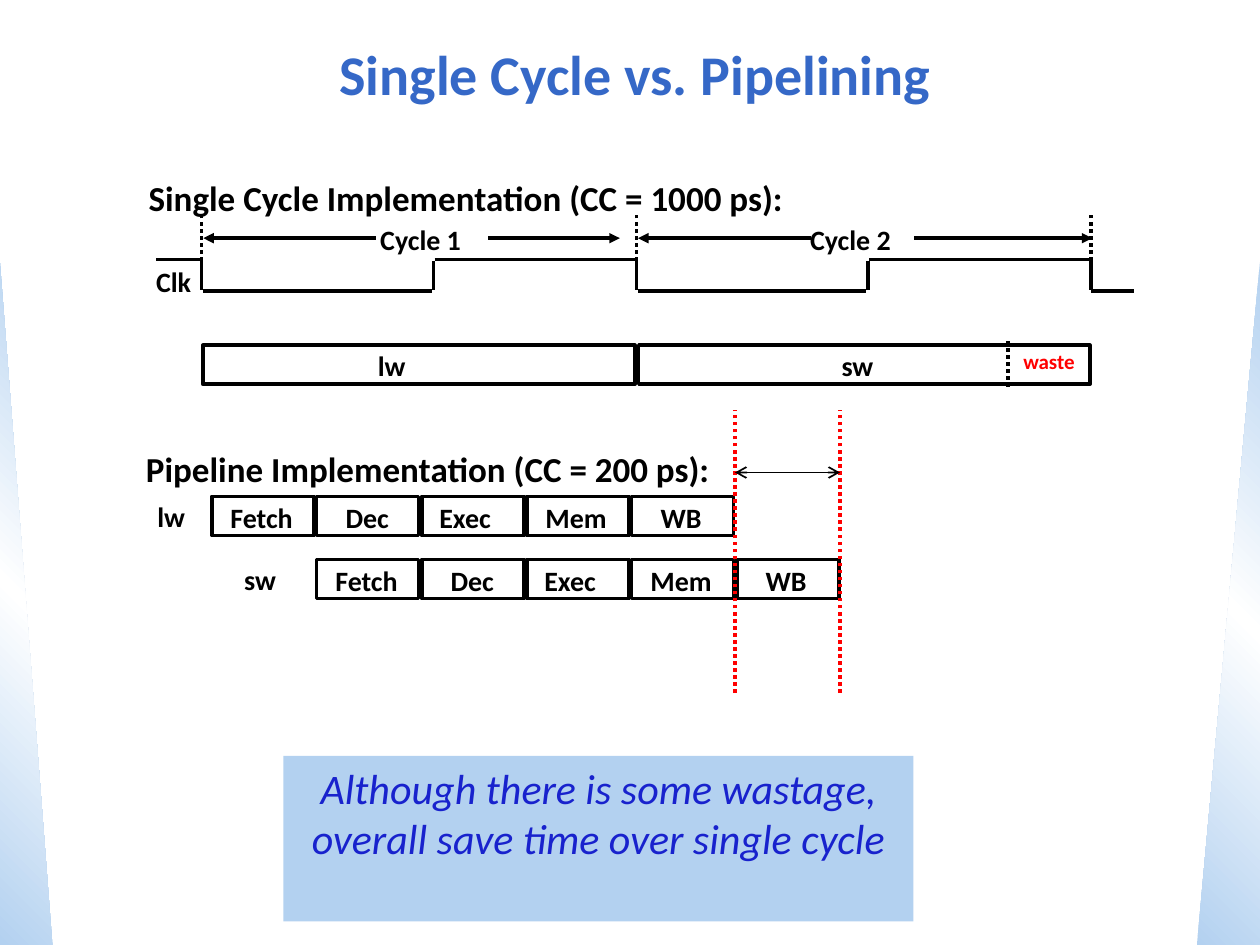
from lxml.etree import SubElement
from pptx import Presentation
from pptx.dml.color import RGBColor
from pptx.enum.dml import MSO_LINE
from pptx.enum.shapes import MSO_CONNECTOR, MSO_SHAPE as Shape
from pptx.enum.text import MSO_ANCHOR as Anchor, MSO_AUTO_SIZE as AutoSize, PP_ALIGN as Align
from pptx.oxml import parse_xml
from pptx.oxml.ns import nsdecls, qn
from pptx.util import Pt

BLACK, RED, PALE_BLUE = "000000", "FF0000", "B3D1F0"
STAGES = [("Fetch", 3.6, 51.8), ("Dec", 9.4, 39.6), ("Exec", 3, 44.6),
          ("Mem", 3.6, 50.4), ("WB", 9.4, 38.2)]
STAGE_STEP, STAGE_LEFT = 60, 121
CLOCK_HIGH, CLOCK_LOW = 148.3, 166.3
CYCLE_EDGES = [115.2, 363.6, 623.5]


def color(value):
    """Turn a hex string into a colour."""
    return RGBColor.from_string(value)


def add_run(frame, text, size, text_color, bold=True, italic=False, align=Align.LEFT):
    """Put one styled run in the first paragraph of a text frame."""
    paragraph = frame.paragraphs[0]
    paragraph.alignment = align
    run = paragraph.add_run()
    run.text = text
    run.font.name = "Calibri"
    run.font.size = Pt(size)
    run.font.bold = bold
    run.font.italic = italic
    run.font.color.rgb = color(text_color)


def add_label(slide, text, left, top, width, height=26.6, size=16,
              text_color=BLACK, align=Align.LEFT, wrap=False):
    """Add a bold text label."""
    box = slide.shapes.add_textbox(Pt(left), Pt(top), Pt(width), Pt(height))
    frame = box.text_frame
    frame.word_wrap = wrap
    frame.auto_size = AutoSize.SHAPE_TO_FIT_TEXT
    add_run(frame, text, size, text_color, align=align)
    return box


def add_bar(slide, left, top, width, height=22.3):
    """Add an unfilled black-edged rectangle."""
    bar = slide.shapes.add_shape(Shape.RECTANGLE, Pt(left), Pt(top), Pt(width), Pt(height))
    bar.shadow.inherit = False
    bar.fill.background()
    bar.line.color.rgb = color(BLACK)
    bar.line.width = Pt(2)


def add_line(slide, start, end, line_color=BLACK, width=2, dotted=False, head=None, tail=None):
    """Add a straight line, dotted or with arrowheads on request."""
    line = slide.shapes.add_connector(
        MSO_CONNECTOR.STRAIGHT, Pt(start[0]), Pt(start[1]), Pt(end[0]), Pt(end[1]))
    line.line.color.rgb = color(line_color)
    line.line.width = Pt(width)
    if dotted:
        line.line.dash_style = MSO_LINE.ROUND_DOT
    properties = line._element.spPr
    for tag, kind in (("a:headEnd", head), ("a:tailEnd", tail)):
        if kind:
            SubElement(properties.find(qn("a:ln")), qn(tag), type=kind)
    SubElement(properties, qn("a:effectLst"))


def add_side_triangle(slide, left, width, angle, flipped=False):
    """Add a gradient triangle along one side of the slide."""
    triangle = slide.shapes.add_shape(
        Shape.RIGHT_TRIANGLE, Pt(left), Pt(150), Pt(width), Pt(390))
    triangle.shadow.inherit = False
    triangle.line.fill.background()
    properties = triangle._element.spPr
    if flipped:
        properties.find(qn("a:xfrm")).set("flipH", "1")
    stops = "".join(
        f'<a:gs pos="{position}"><a:srgbClr val="{value}"/></a:gs>'
        for position, value in ((0, PALE_BLUE), (50000, "FFFFFF"), (100000, PALE_BLUE)))
    gradient = parse_xml(
        f'<a:gradFill {nsdecls("a")} rotWithShape="1"><a:gsLst>{stops}</a:gsLst>'
        f'<a:lin ang="{angle * 60000}" scaled="1"/></a:gradFill>')
    properties.find(qn("a:prstGeom")).addnext(gradient)


def add_pipeline_row(slide, first_step, top):
    """Add the five stages of one instruction."""
    for step, (name, offset, width) in enumerate(STAGES, first_step):
        left = STAGE_LEFT + step * STAGE_STEP
        add_bar(slide, left, top, 58.3)
        add_label(slide, name, left + offset, top - 1.4, width)


def add_clock(slide):
    """Add the clock wave with its cycle markers."""
    add_line(slide, (89.3, CLOCK_HIGH), (114.5, CLOCK_HIGH))
    for edge in CYCLE_EDGES:
        add_line(slide, (edge, 149), (edge, 165.6))
        add_line(slide, (edge, 149), (edge, 123.1), dotted=True)
    for start, end in zip(CYCLE_EDGES, CYCLE_EDGES[1:]):
        middle = start + 132.5
        add_line(slide, (start + 1, CLOCK_LOW), (middle - 1, CLOCK_LOW))
        add_line(slide, (middle, 149), (middle, 165.6))
        add_line(slide, (middle + 0.7, CLOCK_HIGH), (end - 0.9, CLOCK_HIGH))
        add_line(slide, (start + 1, 136.1), (start + 99.7, 136.1), head="triangle")
    add_line(slide, (623.5, CLOCK_LOW), (648, CLOCK_LOW))
    add_line(slide, (354.2, 136.1), (278.6, 136.1), head="triangle")
    add_line(slide, (624.2, 136.1), (522, 136.1), head="triangle")
    add_label(slide, "Clk", 82.1, 147.6, 34.6)
    add_label(slide, "Cycle 1", 210.2, 123.8, 61.2)
    add_label(slide, "Cycle 2", 455.8, 123.8, 61.2)


def add_single_cycle(slide):
    """Add the single cycle timeline."""
    add_label(slide, "Single Cycle Implementation (CC = 1000 ps):", 77.8, 97.2, 380.9, 31, 20)
    add_clock(slide)
    add_bar(slide, 115.9, 197.3, 247)
    add_bar(slide, 365, 197.3, 257.8)
    add_label(slide, "lw", 208.8, 195.8, 31.7)
    add_label(slide, "sw", 473.8, 195.8, 33.8)
    add_line(slide, (576, 221), (576, 195.1), dotted=True)
    add_label(slide, "waste", 574.6, 195.8, 49.7, 21.6, 12, RED, Align.CENTER, True)


def add_pipeline(slide):
    """Add the pipelined timeline and the saved-cycle marker."""
    add_label(slide, "Pipeline Implementation (CC = 200 ps):", 76.3, 252, 339.1, 31, 20)
    add_label(slide, "lw", 82.8, 282.2, 31.7)
    add_pipeline_row(slide, 0, 283.7)
    add_label(slide, "sw", 132.5, 318.2, 33.8)
    add_pipeline_row(slide, 1, 319.7)
    for x in (420, 480):
        add_line(slide, (x, 396), (x, 234), RED, dotted=True)
    add_line(slide, (420, 270), (480, 270), width=1, head="arrow", tail="arrow")


def add_conclusion(slide):
    """Add the closing remark on a pale panel."""
    panel = slide.shapes.add_shape(Shape.RECTANGLE, Pt(162), Pt(432), Pt(360), Pt(94.5))
    panel.shadow.inherit = False
    panel.fill.solid()
    panel.fill.fore_color.rgb = color(PALE_BLUE)
    panel.line.fill.background()
    panel.text_frame.word_wrap = True
    panel.text_frame.vertical_anchor = Anchor.TOP
    add_run(panel.text_frame, "Although there is some wastage, overall save time over single cycle",
            24, "1822CD", bold=False, italic=True, align=Align.CENTER)


def main():
    """Build and save the slide."""
    presentation = Presentation()
    presentation.slide_width, presentation.slide_height = Pt(720), Pt(540)
    slide = presentation.slides.add_slide(presentation.slide_layouts[6])
    add_side_triangle(slide, 0, 30, 315)
    add_side_triangle(slide, 684, 36, 45, flipped=True)
    title = add_label(slide, "Single Cycle vs. Pipelining", 24, 12, 678, 60, 32,
                      "3568C7", Align.CENTER, True)
    title.text_frame.auto_size = AutoSize.NONE
    title.text_frame.vertical_anchor = Anchor.MIDDLE
    add_pipeline(slide)
    add_single_cycle(slide)
    add_conclusion(slide)
    presentation.save("out.pptx")


if __name__ == "__main__":
    main()
